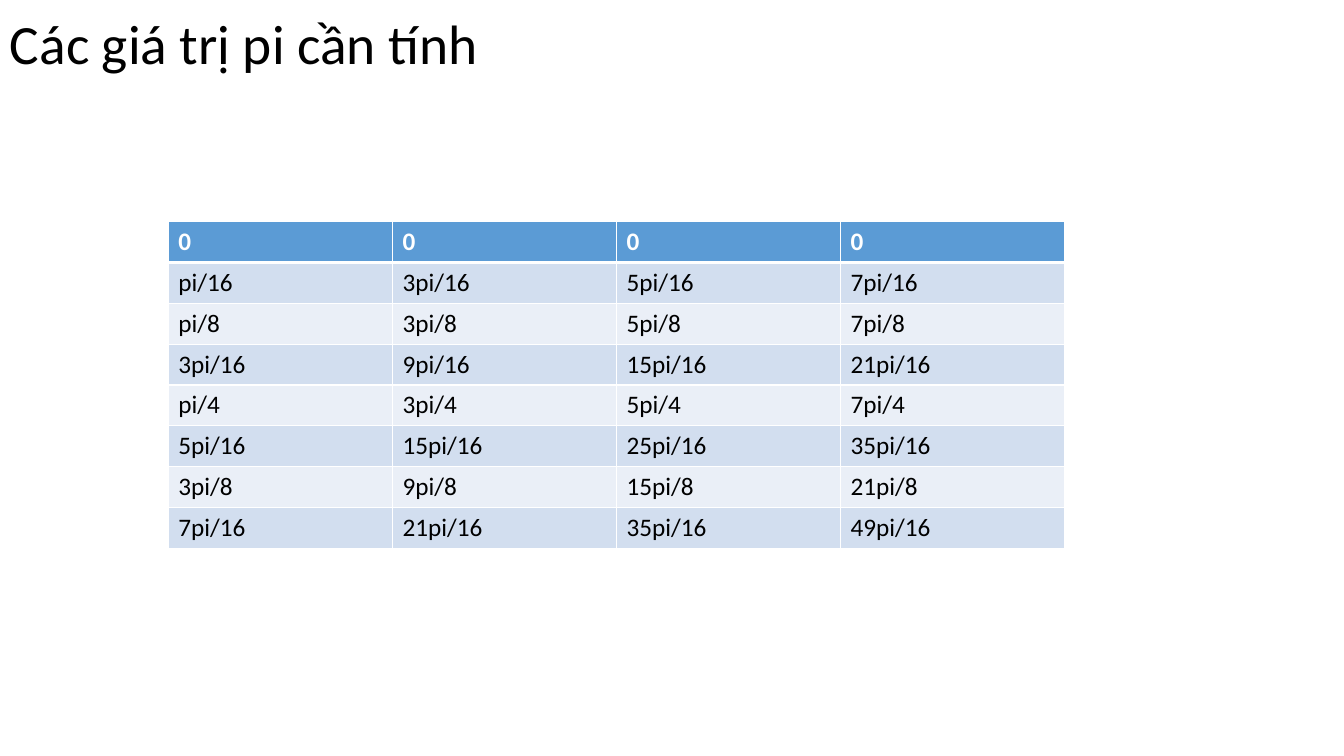
from math import gcd

from lxml.etree import SubElement
from pptx import Presentation
from pptx.dml.color import RGBColor
from pptx.enum.text import MSO_ANCHOR
from pptx.oxml.ns import qn
from pptx.util import Inches, Pt

COLORS = {
    "text": "000000",
    "white": "FFFFFF",
    "header": "5B9BD5",
    "odd_row": "D2DEEF",
    "even_row": "EAEFF7",
}


class SlideBuilder:
    font = "Calibri"

    def __init__(self, slide):
        self.slide = slide

    def add_run(self, paragraph, text, size, color, bold=False):
        run = paragraph.add_run()
        run.text = text
        run.font.name = self.font
        run.font.size = Pt(size)
        run.font.bold = bold
        run.font.color.rgb = RGBColor.from_string(COLORS[color])

    def add_title(self, text, left, top, width, height, size):
        box = self.slide.shapes.add_textbox(
            Inches(left), Inches(top), Inches(width), Inches(height))
        frame = box.text_frame
        frame.word_wrap = True
        frame.vertical_anchor = MSO_ANCHOR.MIDDLE
        paragraph = frame.paragraphs[0]
        paragraph.line_spacing = 0.9
        self.add_run(paragraph, text, size, "text")

    def add_borders(self, cell, top, bottom):
        properties = cell._tc.get_or_add_tcPr()
        for side, points in (("L", 1), ("R", 1), ("T", top), ("B", bottom)):
            line = SubElement(properties, qn(f"a:ln{side}"), w=str(Pt(points)))
            fill = SubElement(line, qn("a:solidFill"))
            SubElement(fill, qn("a:srgbClr"), val=COLORS["white"])

    def add_table(self, rows, left, top, width, height, size):
        table = self.slide.shapes.add_table(
            len(rows), len(rows[0]), Inches(left), Inches(top),
            Inches(width), Inches(height)).table
        for row, values in enumerate(rows):
            is_header = row == 0
            band = "header" if is_header else "odd_row" if row % 2 else "even_row"
            for column, value in enumerate(values):
                cell = table.cell(row, column)
                self.add_borders(cell, top=3 if row == 1 else 1,
                                 bottom=3 if is_header else 1)
                cell.fill.solid()
                cell.fill.fore_color.rgb = RGBColor.from_string(COLORS[band])
                self.add_run(cell.text_frame.paragraphs[0], value, size,
                             "white" if is_header else "text", bold=is_header)


def angle_label(step, multiple):
    if step == 0:
        return "0"
    numerator = step * multiple
    divisor = gcd(numerator, 16)
    factor = numerator // divisor
    return f"{factor if factor > 1 else ''}pi/{16 // divisor}"


def main():
    presentation = Presentation()
    presentation.slide_width = Inches(13.33)
    presentation.slide_height = Inches(7.5)
    builder = SlideBuilder(
        presentation.slides.add_slide(presentation.slide_layouts[6]))

    builder.add_title("Các giá trị pi cần tính", 0, 0, 4.92, 0.92, size=39.6)
    angles = [[angle_label(step, multiple) for multiple in (1, 3, 5, 7)]
              for step in range(8)]
    builder.add_table(angles, 1.67, 2.2, 8.89, 3.24, size=18)
    presentation.save("out.pptx")


if __name__ == "__main__":
    main()
